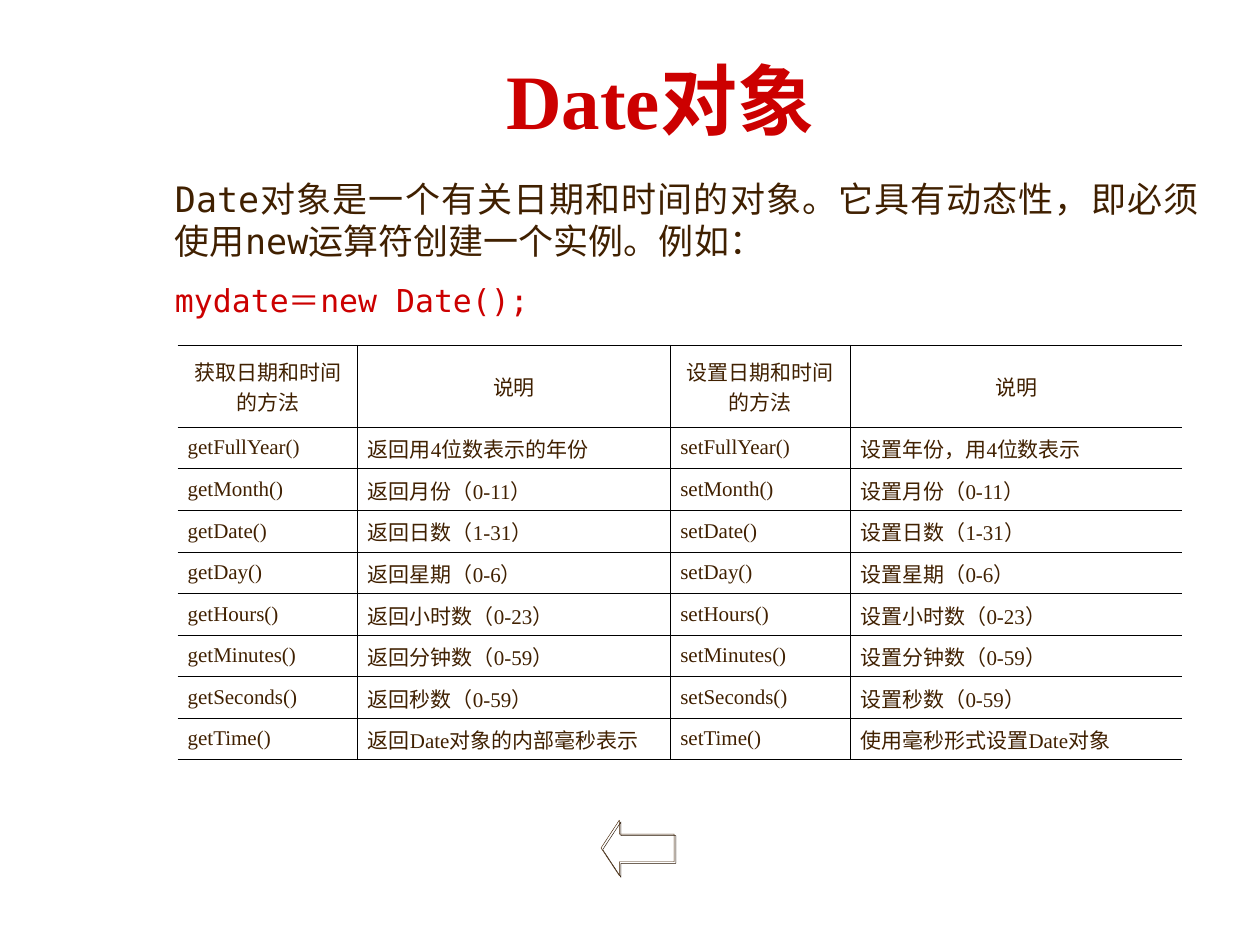
"""Build the slide about the Date object and its get and set methods."""
import pptx
import pptx.dml.color
import pptx.enum.shapes
import pptx.enum.text
import pptx.oxml
import pptx.oxml.ns
import pptx.util

Inches, Pt = pptx.util.Inches, pptx.util.Pt
ALIGN = pptx.enum.text.PP_ALIGN
MIDDLE = pptx.enum.text.MSO_ANCHOR.MIDDLE

RED = pptx.dml.color.RGBColor(0xCC, 0x00, 0x00)
BROWN = pptx.dml.color.RGBColor(0x40, 0x20, 0x00)
SHADOW = pptx.dml.color.RGBColor(0x26, 0x13, 0x00)
BLACK = pptx.dml.color.RGBColor(0x00, 0x00, 0x00)
SERIF, MONO = "Times New Roman", "DejaVu Sans Mono"

TITLE = "Date对象"
INTRO = "Date对象是一个有关日期和时间的对象。它具有动态性，即必须使用new运算符创建一个实例。例如："
EXAMPLE = "mydate＝new Date();"
HEADER = ("获取日期和时间的方法", "说明", "设置日期和时间的方法", "说明")
METHODS = [
    ("FullYear", "返回用4位数表示的年份", "设置年份，用4位数表示"),
    ("Month", "返回月份（0-11）", "设置月份（0-11）"),
    ("Date", "返回日数（1-31）", "设置日数（1-31）"),
    ("Day", "返回星期（0-6）", "设置星期（0-6）"),
    ("Hours", "返回小时数（0-23）", "设置小时数（0-23）"),
    ("Minutes", "返回分钟数（0-59）", "设置分钟数（0-59）"),
    ("Seconds", "返回秒数（0-59）", "设置秒数（0-59）"),
    ("Time", "返回Date对象的内部毫秒表示", "使用毫秒形式设置Date对象"),
]
ROWS = [HEADER] + [(f"get{name}()", got, f"set{name}()", put) for name, got, put in METHODS]
COL_WIDTHS = (1.43, 2.48, 1.43, 2.63)
HEADER_HEIGHT, ROW_HEIGHT = 0.65, 0.33
THIN, THICK = 0.45, 0.75
COL_BORDERS = [
    {"R": THIN},
    {"L": THIN, "R": THICK},
    {"L": THICK, "R": THIN},
    {"L": THIN},
]


def style(p, text, size, font, color, align, bold=False):
    p.text = text
    p.alignment = align
    p.font.size, p.font.name, p.font.bold = Pt(size), font, bold
    p.font.color.rgb = color


def add_text_box(slide, left, top, width, height):
    tf = slide.shapes.add_textbox(*map(Inches, (left, top, width, height))).text_frame
    tf.word_wrap = True
    return tf


def set_borders(cell, sides):
    tc_pr = cell._tc.get_or_add_tcPr()
    ns = pptx.oxml.ns.nsdecls("a")
    for index, side in enumerate("LRTB"):
        width = Pt(sides.get(side, 0))
        paint = f'<a:solidFill><a:srgbClr val="{BLACK}"/></a:solidFill>' if width else "<a:noFill/>"
        tc_pr.insert(index, pptx.oxml.parse_xml(f'<a:ln{side} {ns} w="{width}">{paint}</a:ln{side}>'))


def add_methods_table(slide):
    height = HEADER_HEIGHT + ROW_HEIGHT * len(METHODS)
    table = slide.shapes.add_table(
        len(ROWS), len(HEADER), Inches(1.41), Inches(2.74),
        Inches(sum(COL_WIDTHS)), Inches(height)).table
    table.horz_banding = False
    for column, width in zip(table.columns, COL_WIDTHS):
        column.width = Inches(width)
    for i, texts in enumerate(ROWS):
        table.rows[i].height = Inches(ROW_HEIGHT if i else HEADER_HEIGHT)
        for j, text in enumerate(texts):
            cell = table.cell(i, j)
            cell.fill.background()
            cell.vertical_anchor = MIDDLE
            cell.margin_left = cell.margin_right = Inches(0.08)
            cell.margin_top = cell.margin_bottom = Inches(0.05)
            p = cell.text_frame.paragraphs[0]
            style(p, text, 12, SERIF, BROWN, ALIGN.JUSTIFY if i else ALIGN.CENTER)
            p.space_after = Pt(1.2)
            set_borders(cell, {"T": THIN, "B": THIN, **COL_BORDERS[j]})


def add_back_arrow(slide):
    sp = slide.shapes.add_shape(
        pptx.enum.shapes.MSO_SHAPE.LEFT_ARROW, *map(Inches, (4.77, 6.51, 0.58, 0.44)))
    sp.adjustments[1] = 0.33
    sp.fill.background()
    sp.line.color.rgb, sp.line.width = BROWN, Pt(0.25)
    sp.shadow.inherit = False
    effects = sp._element.spPr.find(pptx.oxml.ns.qn("a:effectLst"))
    effects.append(pptx.oxml.parse_xml(
        f'<a:outerShdw {pptx.oxml.ns.nsdecls("a")} dist="{Pt(1.4)}" dir="{45 * 60000}">'
        f'<a:srgbClr val="{SHADOW}"/></a:outerShdw>'))


def main():
    prs = pptx.Presentation()
    prs.slide_width, prs.slide_height = Inches(10), Inches(7.5)
    slide = prs.slides.add_slide(prs.slide_layouts[6])

    tf = add_text_box(slide, 1.29, 1.36, 8.32, 1.23)
    style(tf.paragraphs[0], INTRO, 20, MONO, BROWN, ALIGN.JUSTIFY)
    p = tf.add_paragraph()
    style(p, EXAMPLE, 18, MONO, RED, ALIGN.JUSTIFY)
    p.space_before = Pt(11.2)

    add_back_arrow(slide)

    tf = add_text_box(slide, 0.98, 0.23, 8.52, 1.11)
    tf.vertical_anchor = MIDDLE
    style(tf.paragraphs[0], TITLE, 44, SERIF, RED, ALIGN.CENTER, bold=True)

    add_methods_table(slide)
    prs.save("out.pptx")


if __name__ == "__main__":
    main()
